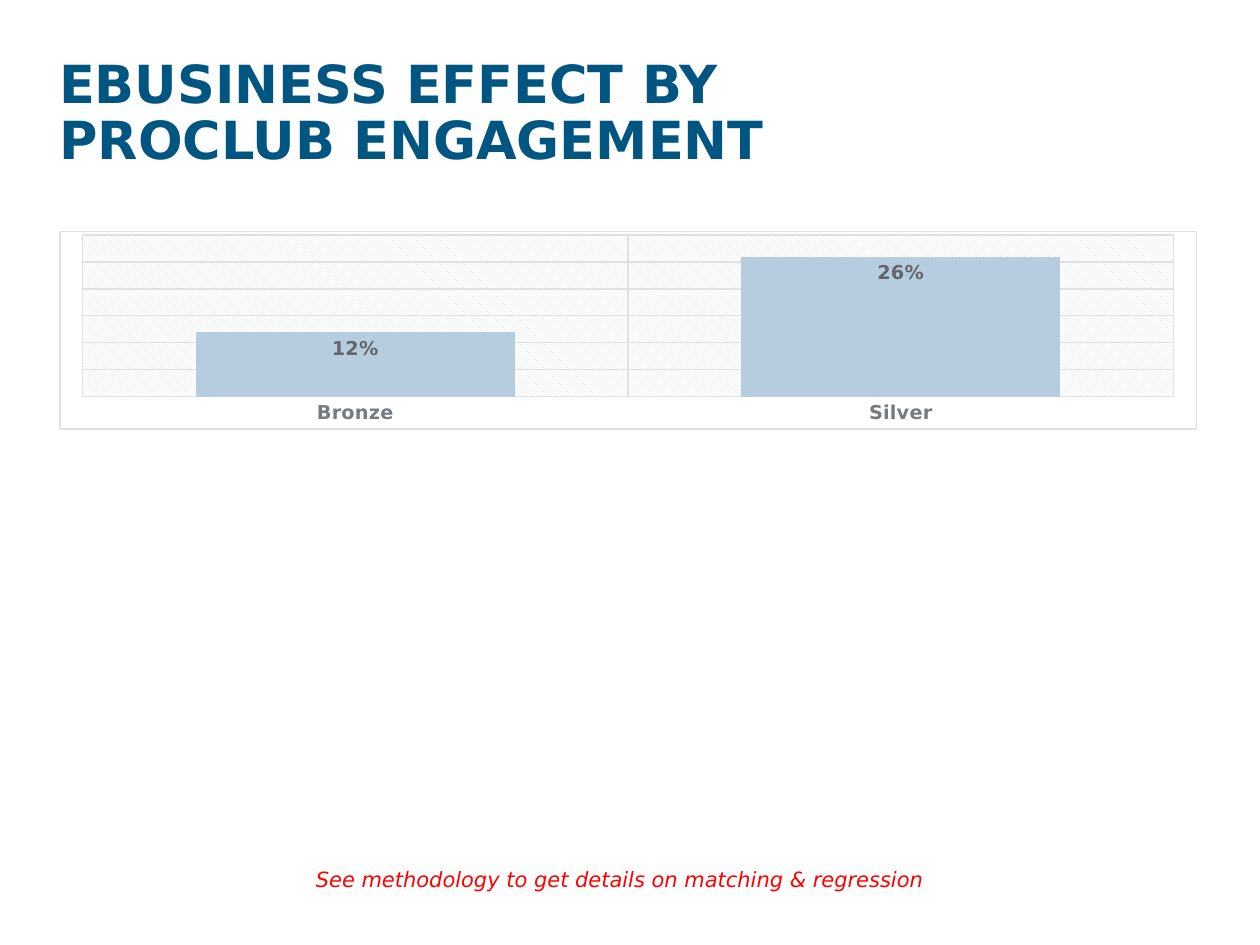
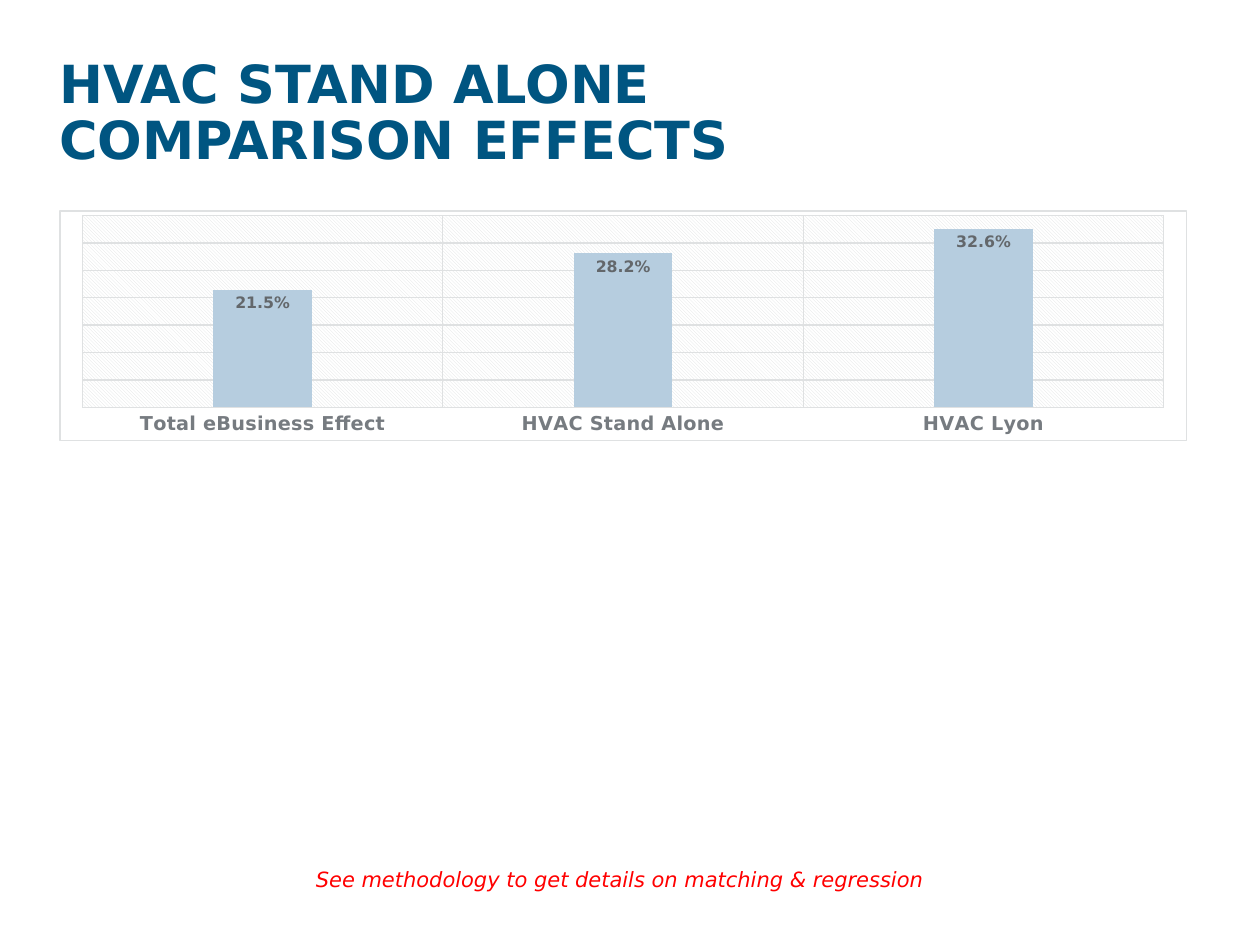
from dataclasses import dataclass

from pptx import Presentation
from pptx import util as u
from pptx.chart.chart import Chart
from pptx.chart.data import CategoryChartData
from pptx.dml.color import RGBColor
from pptx.enum import chart as ch, text
from pptx.oxml import parse_xml
from pptx.oxml.ns import nsdecls

EMU_PER_PX = 9144  # 100 px to the inch


def px(length: int) -> u.Emu:
    return u.Emu(length * EMU_PER_PX)


@dataclass(frozen=True)
class Theme:
    font: str = "DejaVu Sans"
    title: str = "005581"
    note: str = "FF0000"
    chart_text: str = "323436"
    category: str = "767B80"
    label: str = "63676B"
    column: str = "B6CDDF"
    rule: str = "DFE1E2"
    background: str = "FFFFFF"
    title_size: int = 30
    note_size: int = 12
    chart_size: int = 10
    category_size: int = 11
    rule_width: float = 0.75


@dataclass(frozen=True)
class Box:
    left: int
    top: int
    width: int
    height: int

    def emu(self) -> tuple[u.Emu, ...]:
        return px(self.left), px(self.top), px(self.width), px(self.height)


@dataclass(frozen=True)
class EffectSlide:
    title: str
    chart_box: Box
    effects: dict[str, float]
    number_format: str
    gap_width: int
    axis_max: float
    label_size: int


THEME = Theme()
TITLE_BOX = Box(47, 46, 620, 62)
NOTE_BOX = Box(167, 683, 650, 30)
NOTE = "See methodology to get details on matching & regression"

EFFECT_SLIDES = [
    EffectSlide("EBUSINESS EFFECT BY PROCLUB ENGAGEMENT", Box(47, 183, 903, 158),
                {"Bronze": 0.12, "Silver": 0.26}, "0%", 71, 0.30, 11),
    EffectSlide("HVAC STAND ALONE COMPARISON EFFECTS", Box(47, 167, 895, 183),
                {"Total eBusiness Effect": 0.215, "HVAC Stand Alone": 0.282,
                 "HVAC Lyon": 0.326}, "0.0%", 267, 0.35, 9),
]


# Shared styling
def style_font(font, size: int, color: str, bold: bool = False, italic: bool = False) -> None:
    font.name = THEME.font
    font.size = u.Pt(size)
    font.bold = bold
    font.italic = italic
    font.color.rgb = RGBColor.from_string(color)


def style_rule(line) -> None:
    line.color.rgb = RGBColor.from_string(THEME.rule)
    line.width = u.Pt(THEME.rule_width)


def solid_fill(color: str) -> str:
    return f'<a:solidFill><a:srgbClr val="{color}"/></a:solidFill>'


def area_properties(fill: str, line: str):
    return parse_xml(f'<c:spPr {nsdecls("c", "a")}>{fill}{line}</c:spPr>')


# Title and footnote
def add_title(slide, title: str) -> None:
    frame = slide.shapes.add_textbox(*TITLE_BOX.emu()).text_frame
    frame.word_wrap = True
    frame.margin_left = frame.margin_right = frame.margin_top = frame.margin_bottom = 0
    frame.vertical_anchor = text.MSO_ANCHOR.TOP
    paragraph = frame.paragraphs[0]
    paragraph.line_spacing = 0.9
    run = paragraph.add_run()
    run.text = title
    style_font(run.font, THEME.title_size, THEME.title, bold=True)


def add_note(slide) -> None:
    frame = slide.shapes.add_textbox(*NOTE_BOX.emu()).text_frame
    frame.word_wrap = True
    frame.auto_size = text.MSO_AUTO_SIZE.SHAPE_TO_FIT_TEXT
    paragraph = frame.paragraphs[0]
    paragraph.alignment = text.PP_ALIGN.CENTER
    run = paragraph.add_run()
    run.text = NOTE
    style_font(run.font, THEME.note_size, THEME.note, italic=True)


# Column chart
def style_areas(chart: Chart) -> None:
    hatch = ('<a:pattFill prst="ltDnDiag">'
             f'<a:fgClr><a:srgbClr val="{THEME.rule}"/></a:fgClr>'
             f'<a:bgClr><a:srgbClr val="{THEME.background}"/></a:bgClr></a:pattFill>')
    border = f'<a:ln w="{u.Pt(THEME.rule_width)}">{solid_fill(THEME.rule)}</a:ln>'
    space = chart.element
    space.chart.plotArea.append(area_properties(hatch, "<a:ln><a:noFill/></a:ln>"))
    space.chart.addnext(area_properties(solid_fill(THEME.background), border))


def style_axes(chart: Chart, effect: EffectSlide) -> None:
    categories, values = chart.category_axis, chart.value_axis
    for axis in (categories, values):
        axis.has_major_gridlines = True
        style_rule(axis.major_gridlines.format.line)
        axis.major_tick_mark = axis.minor_tick_mark = ch.XL_TICK_MARK.NONE
    style_rule(categories.format.line)
    style_font(categories.tick_labels.font, THEME.category_size, THEME.category, bold=True)
    values.minimum_scale, values.maximum_scale = 0, effect.axis_max
    values.major_unit = 0.05
    values.tick_labels.number_format = effect.number_format
    values.tick_labels.number_format_is_linked = False
    values.visible = False


def add_effect_chart(slide, effect: EffectSlide) -> None:
    data = CategoryChartData(number_format=effect.number_format)
    data.categories = list(effect.effects)
    data.add_series("Series 1", list(effect.effects.values()))
    chart = slide.shapes.add_chart(
        ch.XL_CHART_TYPE.COLUMN_CLUSTERED, *effect.chart_box.emu(), data).chart
    chart.has_legend = chart.has_title = False
    style_font(chart.font, THEME.chart_size, THEME.chart_text)
    style_areas(chart)
    style_axes(chart, effect)

    plot = chart.plots[0]
    plot.vary_by_categories = False
    plot.gap_width, plot.overlap = effect.gap_width, -43
    columns = plot.series[0]
    columns.invert_if_negative = False
    columns.format.fill.solid()
    columns.format.fill.fore_color.rgb = RGBColor.from_string(THEME.column)
    labels = columns.data_labels
    labels.show_value = True
    labels.position = ch.XL_LABEL_POSITION.INSIDE_END
    labels.number_format = effect.number_format
    labels.number_format_is_linked = False
    style_font(labels.font, effect.label_size, THEME.label, bold=True)


def main() -> None:
    deck = Presentation()
    deck.slide_width, deck.slide_height = px(1000), px(750)
    blank = deck.slide_layouts[6]
    for effect in EFFECT_SLIDES:
        slide = deck.slides.add_slide(blank)
        add_title(slide, effect.title)
        add_effect_chart(slide, effect)
        add_note(slide)
    deck.save("out.pptx")


if __name__ == "__main__":
    main()
